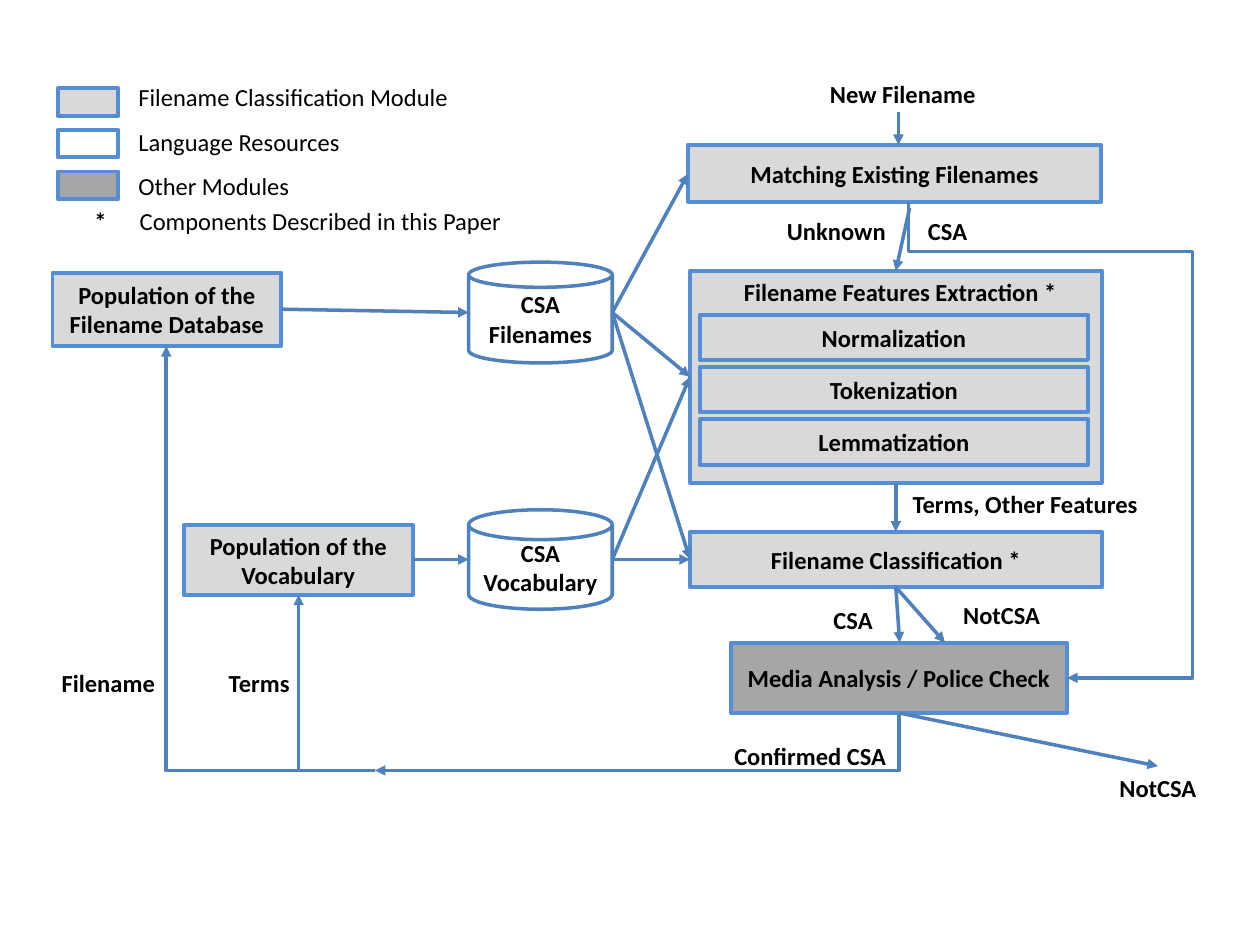
from pptx import Presentation
from pptx import util as u
from pptx.dml.color import RGBColor
from pptx.enum import shapes, text
from pptx.oxml import ns
from lxml import etree

LIGHT, WHITE, DARK = "D9D9D9", "FFFFFF", "A6A6A6"
BORDER, FLOW, INK = "558ED5", "4F81BD", "000000"
RECTANGLE, CAN = shapes.MSO_SHAPE.RECTANGLE, shapes.MSO_SHAPE.CAN
CENTER, LEFT = text.PP_ALIGN.CENTER, text.PP_ALIGN.LEFT


def paint(fill, colour):
    fill.solid()
    fill.fore_color.rgb = RGBColor.from_string(colour)


def write(shape, words, alignment=CENTER, bold=True):
    frame = shape.text_frame
    frame.word_wrap = True
    frame.vertical_anchor = text.MSO_ANCHOR.MIDDLE
    paragraph = frame.paragraphs[0]
    marker, tab, meaning = words.partition("\t")
    paragraph.text = marker
    if tab:
        paragraph.add_run().text = tab + meaning
        tabs = etree.SubElement(paragraph._p.get_or_add_pPr(), ns.qn("a:tabLst"))
        etree.SubElement(tabs, ns.qn("a:tab"), pos=str(u.Pt(26)), algn="l")
    paragraph.alignment = alignment
    for run in paragraph.runs:
        run.font.name = "Calibri"
        run.font.size = u.Pt(14)
        run.font.bold = bold or run.text == "*"
        paint(run.font.fill, INK)


presentation = Presentation()
presentation.slide_width, presentation.slide_height = u.Pt(720), u.Pt(540)
slide = presentation.slides.add_slide(presentation.slide_layouts[6])

boxes = [
    (RECTANGLE, 394.3, 154.8, 235.4, 121, LIGHT, ""),
    (RECTANGLE, 417.6, 367.2, 192.2, 40.3, DARK, "Media Analysis / Police Check"),
    (RECTANGLE, 394.3, 303.8, 235.4, 31.7, LIGHT, "Filename Classification *"),
    (RECTANGLE, 393.1, 82.8, 236.2, 32.4, LIGHT, "Matching Existing Filenames"),
    (RECTANGLE, 105.1, 300, 130.7, 40.3, LIGHT, "Population of the Vocabulary"),
    (RECTANGLE, 30, 155.8, 130.7, 41.8, LIGHT, "Population of the Filename Database"),
    (CAN, 267.8, 291.3, 82.1, 56.9, WHITE, "CSA Vocabulary"),
    (CAN, 267.8, 149.8, 82.1, 57.6, WHITE, "CSA Filenames"),
]
for row, step in enumerate(["Normalization", "Tokenization", "Lemmatization"]):
    boxes.append((RECTANGLE, 399.9, 179.8 + 29.9 * row, 221.8, 25.9, LIGHT, step))

legend = [
    (LIGHT, "Filename Classification Module"),
    (WHITE, "Language Resources"),
    (DARK, "Other Modules"),
]
for row, (colour, meaning) in enumerate(legend):
    boxes.append((RECTANGLE, 33, 50.4 + 23.8 * row, 34.6, 15.8, colour, ""))

for kind, left, top, width, height, colour, words in boxes:
    shape = slide.shapes.add_shape(kind, u.Pt(left), u.Pt(top), u.Pt(width), u.Pt(height))
    shape.shadow.inherit = False
    paint(shape.fill, colour)
    paint(shape.line.fill, FLOW if kind == CAN else BORDER)
    shape.line.width = u.Pt(2 if kind == CAN else 2.25)
    if words:
        write(shape, words)
    if words == "CSA Vocabulary":
        shape.adjustments[0] = 0.3

STRAIGHT, CORNER, DETOUR = "line", "bentConnector2", "bentConnector4"
arrows = [
    (STRAIGHT, 514.1, 407.5, 661.7, 437.8, 0, []),
    (STRAIGHT, 511.9, 275.8, 511.9, 303.8, 0, []),
    (STRAIGHT, 519.8, 118.8, 511.9, 154.8, 0, []),
    (STRAIGHT, 511.9, 335.5, 514.1, 367.2, 0, []),
    (STRAIGHT, 511.9, 335.5, 540, 367.2, 0, []),
    (STRAIGHT, 513.4, 64.1, 513.4, 82.8, 0, []),
    (STRAIGHT, 160.9, 176.7, 267.8, 178.6, 0, []),
    (STRAIGHT, 235.8, 319.7, 267.8, 319.7, 0, []),
    (STRAIGHT, 349.9, 178.6, 394.3, 215.3, 0, []),
    (STRAIGHT, 349.9, 319.7, 394.3, 215.3, 0, []),
    (STRAIGHT, 349.9, 178.6, 393.1, 99.4, 0, []),
    (STRAIGHT, 349.9, 319.7, 394.3, 319.7, 0, []),
    (STRAIGHT, 349.9, 178.6, 394.3, 319.7, 0, []),
    (CORNER, 347.8, 274.3, 380.2, 573.8, 90, []),
    (CORNER, 170.6, 339.8, 214.5, 440.3, 180, []),
    (CORNER, 95, 197.8, 213.8, 440.3, 180, []),
    (DETOUR, 700.6, 205.9, 428.4, 296.6, 270, [10500, 178900]),
]
for preset, x1, y1, x2, y2, rotation, adjustments in arrows:
    kind = shapes.MSO_CONNECTOR.STRAIGHT if preset == STRAIGHT else shapes.MSO_CONNECTOR.ELBOW
    connector = slide.shapes.add_connector(kind, u.Pt(x1), u.Pt(y1), u.Pt(x2), u.Pt(y2))
    paint(connector.line.fill, FLOW)
    connector.line.width = u.Pt(2)
    properties = connector._element.spPr
    outline = properties.find(ns.qn("a:ln"))
    etree.SubElement(outline, ns.qn("a:tailEnd"), type="triangle")
    etree.SubElement(properties, ns.qn("a:effectLst"))
    if rotation:
        properties.find(ns.qn("a:xfrm")).set("rot", str(rotation * 60000))
        geometry = properties.find(ns.qn("a:prstGeom"))
        geometry.set("prst", preset)
        guides = geometry.find(ns.qn("a:avLst"))
        for number, value in enumerate(adjustments, 1):
            etree.SubElement(guides, ns.qn("a:gd"), name=f"adj{number}", fmla=f"val {value}")

labels = [
    (401.8, 41.4, 228.2, "New Filename", CENTER, True),
    (399.6, 154.4, 229.7, "Filename Features Extraction *", CENTER, True),
    (440.1, 119.8, 75.6, "Unknown", CENTER, True),
    (518.8, 119.5, 45.4, "CSA", CENTER, True),
    (398.2, 419.8, 129.6, "Confirmed CSA", CENTER, True),
    (629.3, 438.1, 64.8, "NotCSA", CENTER, True),
    (464.8, 342, 45.4, "CSA", CENTER, True),
    (493.7, 275.6, 184.3, "Terms, Other Features", CENTER, True),
    (540, 339, 64.8, "NotCSA", CENTER, True),
    (84, 377.9, 128.2, "Terms", CENTER, True),
    (-2.2, 377.9, 128.2, "Filename", CENTER, True),
    (46.8, 114, 271.4, "*\tComponents Described in this Paper", LEFT, False),
]
for row, (colour, meaning) in enumerate(legend):
    labels.append((72, 43 + 25.5 * row, 230.4, meaning, LEFT, False))

for left, top, width, words, alignment, bold in labels:
    label = slide.shapes.add_textbox(u.Pt(left), u.Pt(top), u.Pt(width), u.Pt(24.5))
    write(label, words, alignment, bold)
    label.text_frame.auto_size = text.MSO_AUTO_SIZE.SHAPE_TO_FIT_TEXT

presentation.save("out.pptx")
